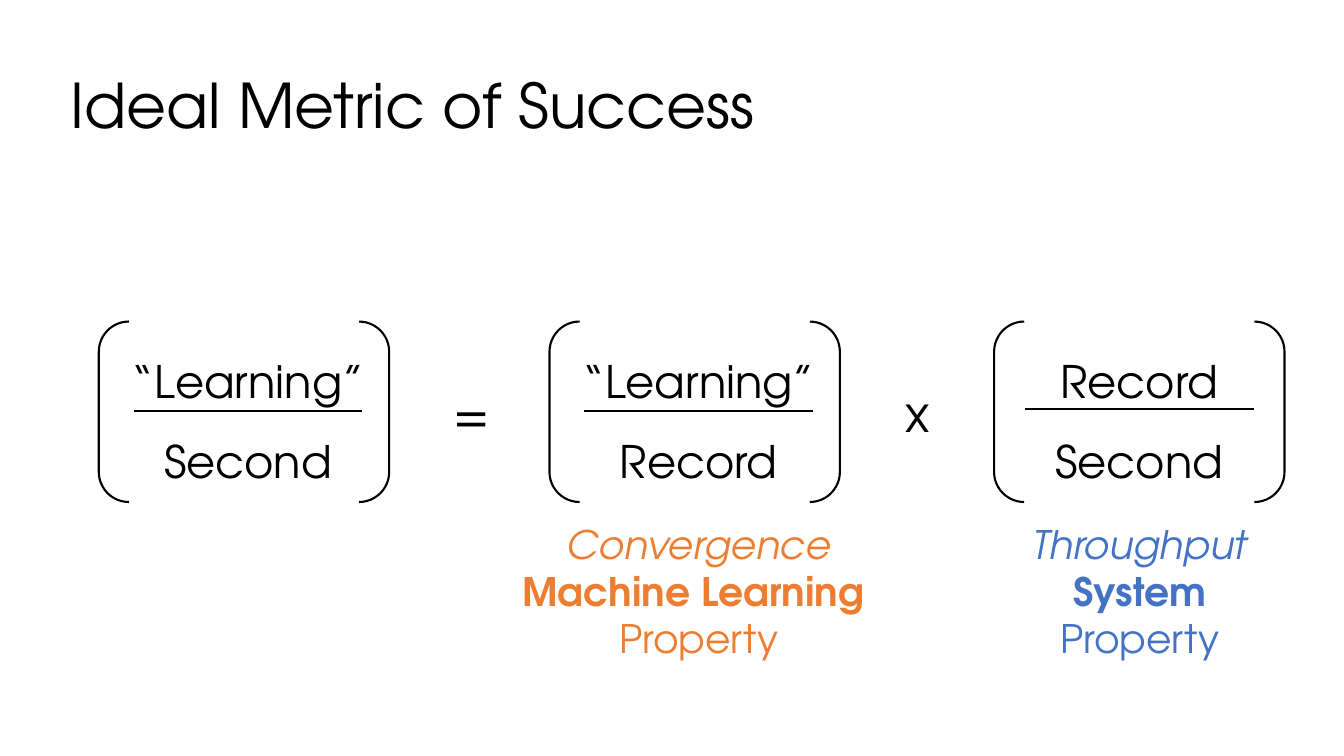
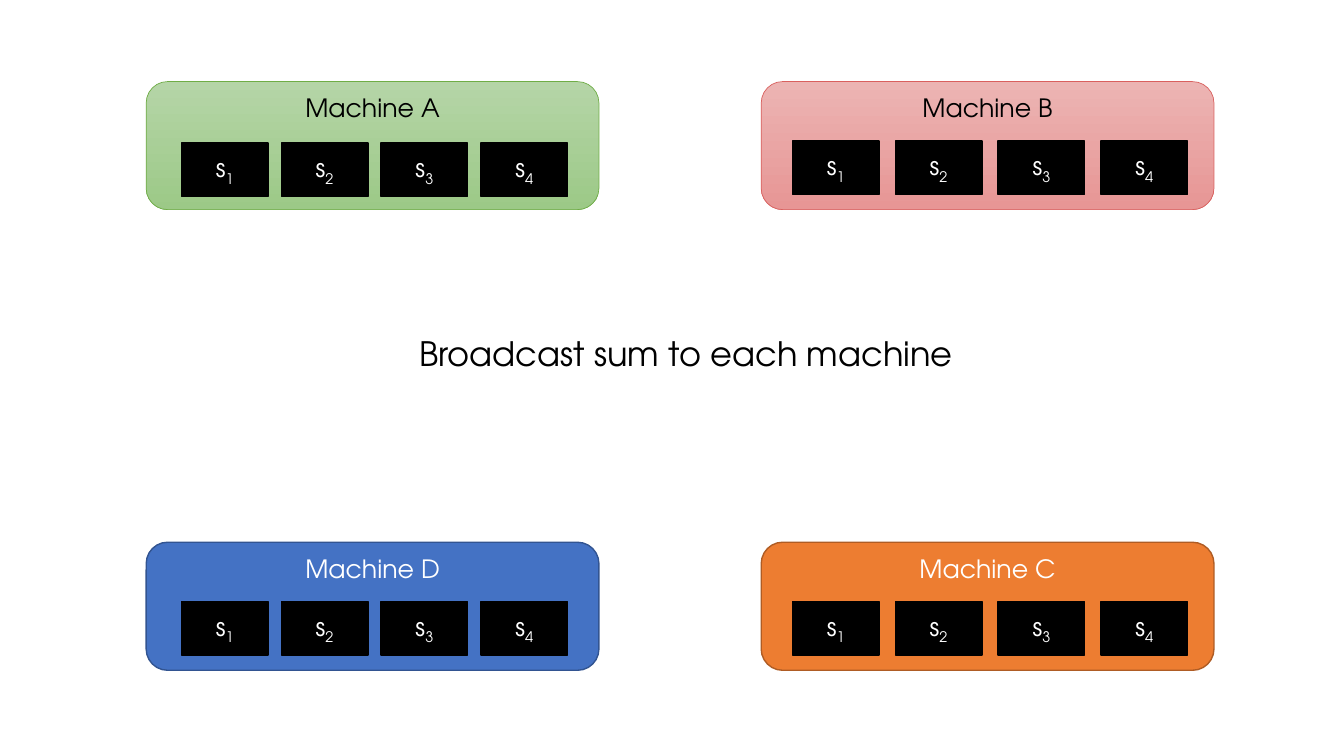
from pptx import Presentation
from pptx.dml.color import RGBColor
from pptx.enum.shapes import MSO_CONNECTOR, MSO_SHAPE
from pptx.enum.text import MSO_ANCHOR, MSO_AUTO_SIZE, PP_ALIGN
from pptx.oxml.ns import qn
from pptx.util import Inches, Pt
from lxml.etree import SubElement

# Shared look
FONT = "TeX Gyre Adventor"
BLACK, WHITE = "000000", "FFFFFF"
ORANGE, BLUE = "ED7D31", "4472C4"

# Slide 1: fractions
BRACKET_TOP, BRACKET_W, BRACKET_H = 3.19, 2.88, 1.79
BAR_W = 2.27

# Slide 2: machines, each holding a row of sums
MACHINE_W, MACHINE_H = 4.49, 1.27
SUM_W, SUM_H, SUM_COUNT = 0.86, 0.53, 4
LEFT_COLUMN = (1.45, 1.8, 0.99)  # machine left, first sum left, sum pitch
RIGHT_COLUMN = (7.55, 7.86, 1.02)


def rgb(value):
    return RGBColor.from_string(value)


def box(left, top, width, height):
    return [Inches(n) for n in (left, top, width, height)]


def add_run(paragraph, text, size, color=BLACK, baseline=None, **extra):
    run = paragraph.add_run()
    run.text = text
    style = {"name": FONT, "size": Pt(size), **extra}
    for key, value in style.items():
        setattr(run.font, key, value)
    run.font.color.rgb = rgb(color)
    if baseline is not None:
        run.font._element.set("baseline", str(baseline * 1000))


def add_title(slide, text):
    title = slide.shapes.title
    title.left, title.top, title.width, title.height = box(0.6, 0.35, 11.81, 1.45)
    frame = title.text_frame
    frame.auto_size = MSO_AUTO_SIZE.NONE
    frame.vertical_anchor = MSO_ANCHOR.MIDDLE
    heading = frame.paragraphs[0]
    heading.alignment = PP_ALIGN.LEFT
    heading.line_spacing = 0.9
    add_run(heading, text, 44)


def add_text(slide, place, lines, size, color=BLACK, align=PP_ALIGN.CENTER, spacing=None):
    """Each line is a (text, font values) pair."""
    frame = slide.shapes.add_textbox(*box(*place)).text_frame
    frame.word_wrap = False
    for index, (text, style) in enumerate(lines):
        line = frame.add_paragraph() if index else frame.paragraphs[0]
        line.alignment = align
        line.line_spacing = spacing
        add_run(line, text, size, color, **style)


def add_block(slide, kind, place, fills, outline, weight):
    """No fill, one colour, or two colours for a downward gradient."""
    block = slide.shapes.add_shape(kind, *box(*place))
    block.shadow.inherit = False
    if not fills:
        block.fill.background()
    elif len(fills) == 1:
        block.fill.solid()
        block.fill.fore_color.rgb = rgb(fills[0])
    else:
        block.fill.gradient()
        block.fill.gradient_angle = 270
        for stop, color in zip(block.fill.gradient_stops, fills):
            stop.color.rgb = rgb(color)
    block.line.color.rgb = rgb(outline)
    block.line.width = Pt(weight)
    return block


def add_bar(slide, left, y, width):
    bar = slide.shapes.add_connector(
        MSO_CONNECTOR.STRAIGHT, *box(left, y, left + width, y))
    bar.line.color.rgb = rgb(BLACK)
    bar.line.width = Pt(1.5)
    SubElement(bar._element.spPr, qn("a:effectLst"))


def add_fraction(slide, bracket_left, center, bar_y, numerator, denominator):
    text_w = 2.52
    add_text(slide, (center - text_w / 2, BRACKET_TOP, text_w, 1.61),
             [(numerator, {}), (denominator, {})], 32, spacing=1.5)
    add_bar(slide, center - BAR_W / 2, bar_y, BAR_W)
    add_block(slide, MSO_SHAPE.DOUBLE_BRACKET,
              (bracket_left, BRACKET_TOP, BRACKET_W, BRACKET_H), [], BLACK, 1.5)


def add_property(slide, left, width, name, owner, color):
    lines = [(name, {"italic": True}), (owner, {"bold": True}), ("Property", {})]
    add_text(slide, (left, 5.11, width, 1.51), lines, 28, color)


def add_sum(slide, left, top, index):
    cell = add_block(slide, MSO_SHAPE.RECTANGLE, (left, top, SUM_W, SUM_H),
                     [BLACK], BLACK, 1)
    cell.text_frame.vertical_anchor = MSO_ANCHOR.MIDDLE
    label = cell.text_frame.paragraphs[0]
    label.alignment = PP_ALIGN.CENTER
    add_run(label, "s", 18, WHITE)
    add_run(label, str(index), 18, WHITE, baseline=-25)


def add_machine(slide, letter, column, top, sum_top, fills, outline, weight, color):
    left, sum_left, pitch = column
    machine = add_block(slide, MSO_SHAPE.ROUNDED_RECTANGLE,
                        (left, top, MACHINE_W, MACHINE_H), fills, outline, weight)
    machine.text_frame.vertical_anchor = MSO_ANCHOR.TOP
    label = machine.text_frame.paragraphs[0]
    label.alignment = PP_ALIGN.CENTER
    add_run(label, f"Machine {letter}", 18, color)
    for index in range(SUM_COUNT):
        add_sum(slide, sum_left + index * pitch, sum_top, index + 1)


def build_metric(deck):
    slide = deck.slides.add_slide(deck.slide_layouts[5])
    add_title(slide, "Ideal Metric of Success")

    # Equation
    add_fraction(slide, 0.98, 2.46, 4.08, "“Learning”", "Second")
    add_fraction(slide, 5.45, 6.93, 4.08, "“Learning”", "Record")
    add_fraction(slide, 9.86, 11.3, 4.06, "Record", "Second")
    for sign, left, width in (("=", 4.4, 0.51), ("x", 8.88, 0.44)):
        add_text(slide, (left, 3.74, width, 0.71), [(sign, {})], 36,
                 align=PP_ALIGN.LEFT)

    # What each factor measures
    add_property(slide, 5.05, 3.76, "Convergence", "Machine Learning ", ORANGE)
    add_property(slide, 10.12, 2.37, "Throughput", "System", BLUE)


def build_broadcast(deck):
    slide = deck.slides.add_slide(deck.slide_layouts[6])
    machines = (
        ("A", LEFT_COLUMN, 0.81, 1.42, ["B5D5A7", "9CC987"], "70AD47", 0.5, BLACK),
        ("B", RIGHT_COLUMN, 0.81, 1.4, ["ECB4B3", "E79695"], "D9615F", 0.5, BLACK),
        ("D", LEFT_COLUMN, 5.38, 5.97, [BLUE], "325491", 1, WHITE),
        ("C", RIGHT_COLUMN, 5.38, 5.97, [ORANGE], "AF5C24", 1, WHITE),
    )
    for machine in machines:
        add_machine(slide, *machine)
    add_text(slide, (4.06, 3.25, 5.56, 0.5),
             [("Broadcast sum to each machine", {})], 24, align=PP_ALIGN.LEFT)


def main():
    deck = Presentation()
    deck.slide_width, deck.slide_height = Inches(13.33), Inches(7.5)
    build_metric(deck)
    build_broadcast(deck)
    deck.save("out.pptx")


if __name__ == "__main__":
    main()
